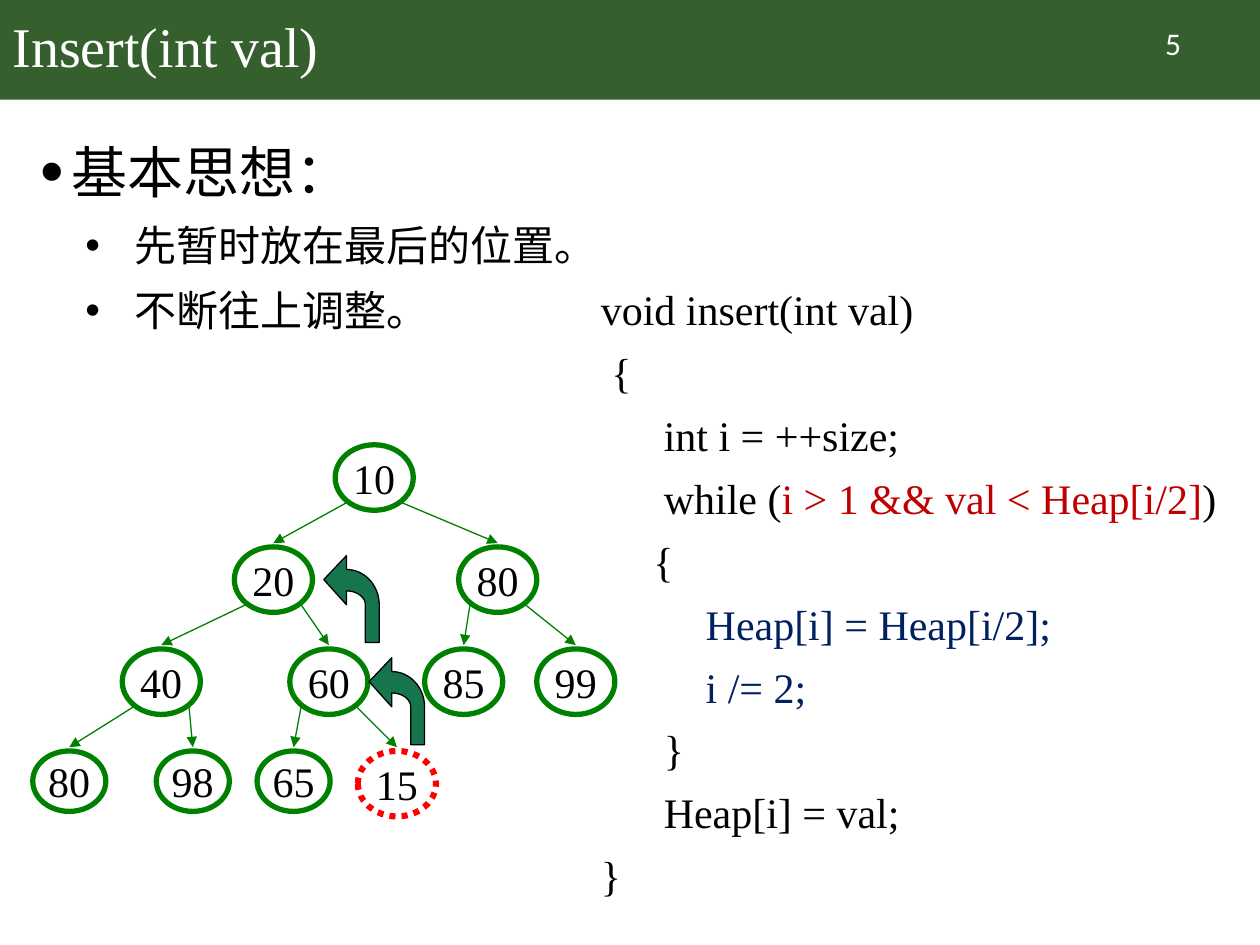
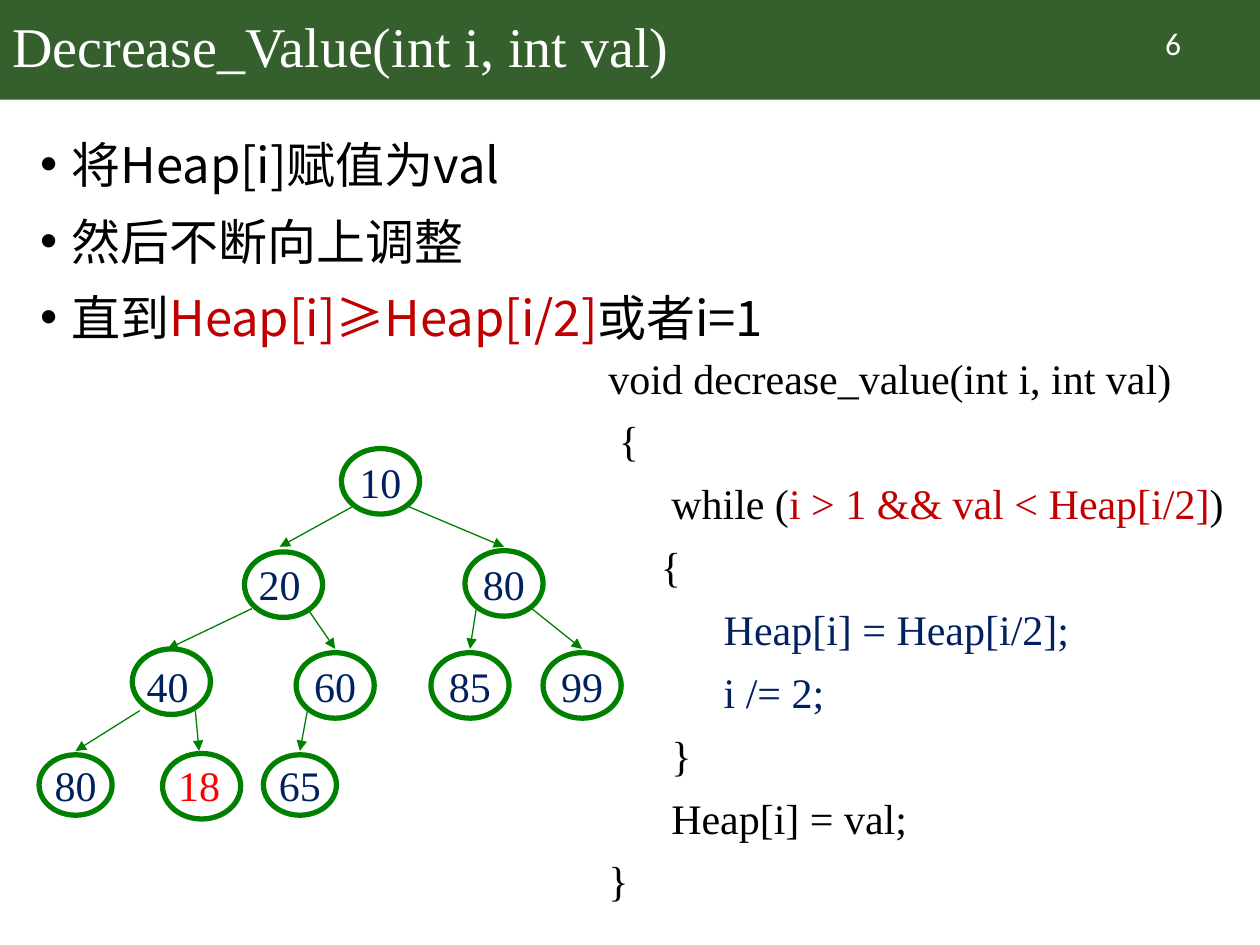
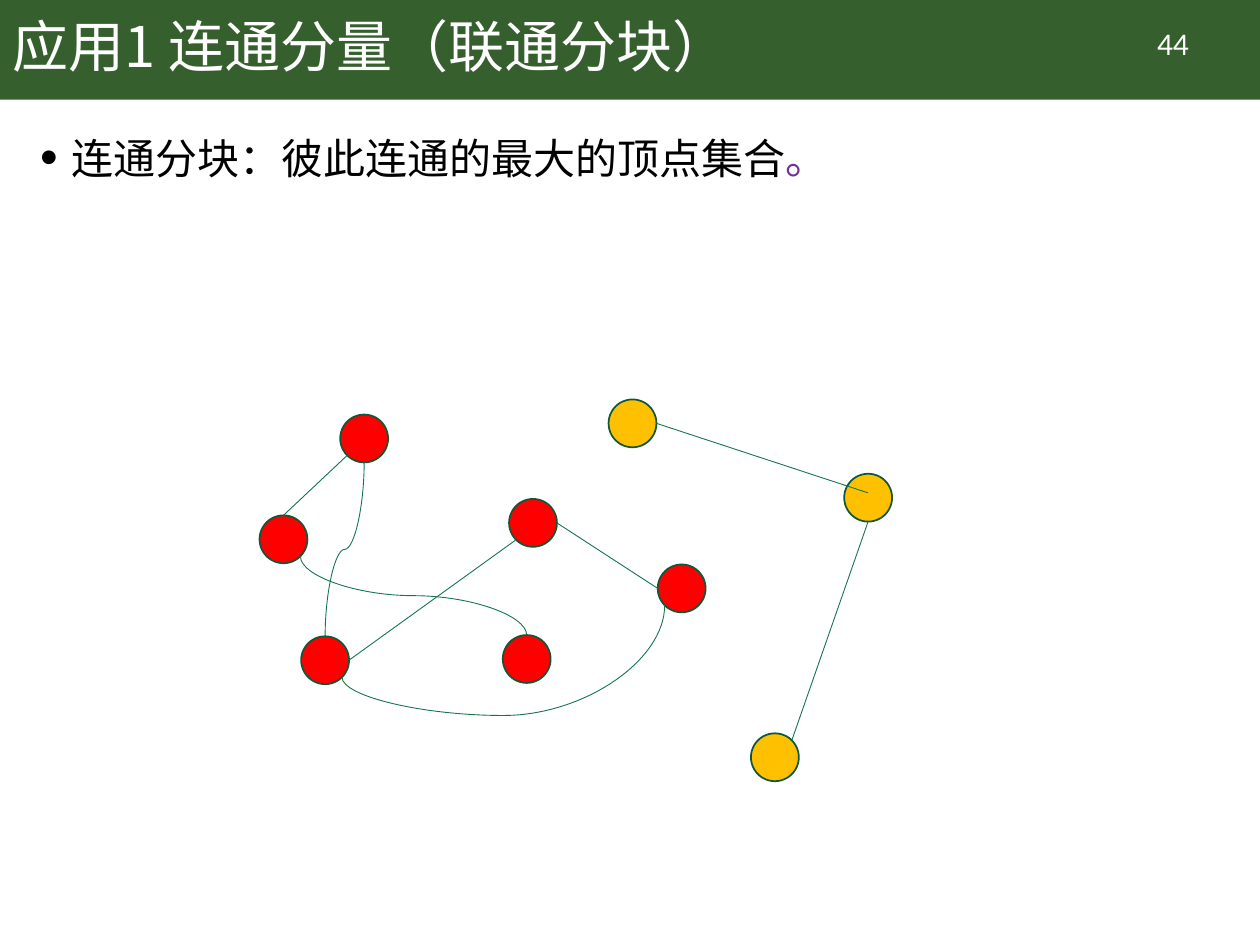
import math

import pptx
import pptx.dml.color
import pptx.enum.dml
import pptx.enum.shapes
import pptx.enum.text
import pptx.oxml
import pptx.oxml.ns
import pptx.util

RGBColor = pptx.dml.color.RGBColor
Inches = pptx.util.Inches
SHAPE = pptx.enum.shapes.MSO_SHAPE
CONNECTOR = pptx.enum.shapes.MSO_CONNECTOR
ALIGN = pptx.enum.text.PP_ALIGN
ANCHOR = pptx.enum.text.MSO_ANCHOR

BAND = RGBColor(0x36, 0x5F, 0x2E)
WHITE = RGBColor(0xFF, 0xFF, 0xFF)
BLACK = RGBColor(0, 0, 0)
CRIMSON = RGBColor(0xC0, 0, 0)
NAVY = RGBColor(0, 0x20, 0x60)
PURPLE = RGBColor(0x70, 0x30, 0xA0)
TREE_GREEN = RGBColor(0, 0x80, 0)
EDGE_GREEN = RGBColor(0x16, 0x75, 0x4D)
RIM_GREEN = RGBColor(0x10, 0x57, 0x39)
RED = RGBColor(0xFF, 0, 0)
AMBER = RGBColor(0xFF, 0xC0, 0)

SERIF, SANS, NUMBER_FONT = "Times New Roman", "Noto Sans CJK SC", "Calibri"
WIDTH, HEIGHT, BAND_HEIGHT = 10, 7.5, 0.79

# A paragraph is a string or a list of (text, colour) runs.
WHILE_LINE = [("      while (", BLACK), ("i > 1 && val < Heap[i/2]", CRIMSON), (")", BLACK)]
INSERT_CODE = [
    "void insert(int val)",
    " {",
    "      int i = ++size;",
    WHILE_LINE,
    "     {",
    [("          Heap[i] = Heap[i/2];", NAVY)],
    [("          i /= 2;", NAVY)],
    "      }",
    "      Heap[i] = val;",
    "}",
]
DECREASE_CODE = [
    "void decrease_value(int i, int val)",
    " {",
    WHILE_LINE,
    "     {",
    [("           Heap[i] = Heap[i/2];", NAVY)],
    [("           i /= 2;", NAVY)],
    "      }",
    "      Heap[i] = val;",
    "}",
]
INSERT_IDEA = ["基本思想："]
INSERT_STEPS = ["先暂时放在最后的位置。", "不断往上调整。"]
DECREASE_STEPS = [
    "将Heap[i]赋值为val",
    "然后不断向上调整",
    [("直到", BLACK), ("Heap[i]≥Heap[i/2]", CRIMSON), ("或者i=1", BLACK)],
]
COMPONENT_TEXT = [[("连通分块：彼此连通的最大的顶点集合", BLACK), ("。", PURPLE)]]

# Heaps are in array order: the parent of item i is item i // 2, counted from 1.
INSERT_HEAP = [10, 20, 80, 40, 60, 85, 99, 80, 98, 65, 15]
DECREASE_HEAP = [10, 20, 80, 40, 60, 85, 99, 80, 18, 65]
HEAP_LEFTS = [2.66, 1.86, 3.64, 0.97, 2.3, 3.37, 4.26, 0.26, 1.24, 2.04, 2.84]
HEAP_TOP, LEVEL_STEP = 3.53, 0.81
NODE_SIZE, LEAF_SIZE = (0.62, 0.52), (0.58, 0.48)
DECREASE_SHIFT = (0.05, 0.03)
SHIFTED_RINGS = {2: (1.94, 4.38), 4: (1.05, 5.15), 9: (1.29, 5.98)}
SWAP_ARROWS = [(2.93, 5.22), (2.57, 4.41)]

VERTEX_SIZE = 0.38
VERTICES = {
    "a": (2.7, 3.29, RED), "b": (2.06, 4.09, RED), "c": (2.39, 5.05, RED),
    "d": (3.99, 5.04, RED), "e": (5.96, 5.82, AMBER), "f": (6.7, 3.76, AMBER),
    "g": (4.04, 3.96, RED), "h": (5.22, 4.48, RED), "i": (4.83, 3.17, AMBER),
}
DIAGONAL = math.sqrt(0.5)
SITES = {
    "top": (0, -1), "bottom": (0, 1), "left": (-1, 0), "right": (1, 0),
    "top right": (DIAGONAL, -DIAGONAL), "bottom left": (-DIAGONAL, DIAGONAL),
    "bottom right": (DIAGONAL, DIAGONAL), "centre": (0, -0.2),
}
STRAIGHT_EDGES = [
    ("a", "bottom left", "b", "top"),
    ("c", "right", "g", "bottom left"),
    ("i", "right", "f", "centre"),
    ("f", "bottom", "e", "top right"),
    ("g", "right", "h", "left"),
]
CURVED_EDGES = [
    ("a", "bottom", "c", "top", 0.5),
    ("b", "bottom right", "d", "top", 0.5),
    ("c", "bottom right", "h", "bottom left", -0.535),
]


def add_xml(parent, tag, **attributes):
    element = pptx.oxml.parse_xml(f"<a:{tag} {pptx.oxml.ns.nsdecls('a')}/>")
    for name, value in attributes.items():
        element.set(name, str(value))
    parent.append(element)
    return element


def add_bullet(paragraph, margin, hang, percent):
    properties = paragraph._p.get_or_add_pPr()
    properties.set("marL", str(Inches(margin)))
    properties.set("indent", str(-Inches(hang)))
    add_xml(add_xml(properties, "buClr"), "srgbClr", val=BLACK)
    add_xml(properties, "buSzPct", val=percent * 1000)
    add_xml(properties, "buFont", typeface="Arial")
    add_xml(properties, "buChar", char="•")


def write(frame, paragraphs, *, size, font=SERIF, color=BLACK, align=ALIGN.LEFT,
          anchor=ANCHOR.TOP, wrap=True, line_spacing=1.0, space_before=0,
          bullet=None, append=False):
    """Fill a text frame; bullet is (margin, hang, percent of the text size)."""
    frame.word_wrap = wrap
    frame.vertical_anchor = anchor
    for index, content in enumerate(paragraphs):
        first = index == 0 and not append
        paragraph = frame.paragraphs[0] if first else frame.add_paragraph()
        paragraph.alignment = align
        paragraph.line_spacing = line_spacing
        paragraph.space_before = pptx.util.Pt(0 if first else space_before)
        if bullet:
            add_bullet(paragraph, *bullet)
        runs = [(content, color)] if isinstance(content, str) else content
        for text, run_color in runs:
            run = paragraph.add_run()
            run.text = text
            run.font.size = pptx.util.Pt(size)
            run.font.name = font
            run.font.color.rgb = run_color
            add_xml(run._r.get_or_add_rPr(), "ea", typeface=SANS)


def add_text(slide, box, paragraphs, **style):
    frame = slide.shapes.add_textbox(*map(Inches, box)).text_frame
    write(frame, paragraphs, **style)
    return frame


def paint(shape, fill=None, line=None, weight=1):
    shape.shadow.inherit = False
    if fill is None:
        shape.fill.background()
    else:
        shape.fill.solid()
        shape.fill.fore_color.rgb = fill
    if line is None:
        shape.line.fill.background()
    else:
        shape.line.color.rgb = line
        shape.line.width = pptx.util.Pt(weight)


def add_shape(shapes, kind, box, **style):
    shape = shapes.add_shape(kind, *map(Inches, box))
    paint(shape, **style)
    return shape


def add_line(shapes, start, end, color, weight, kind=CONNECTOR.STRAIGHT, arrow=False):
    connector = shapes.add_connector(kind, *map(Inches, (*start, *end)))
    connector.line.color.rgb = color
    connector.line.width = pptx.util.Pt(weight)
    if arrow:
        add_xml(connector.line._get_or_add_ln(), "tailEnd", type="triangle")
    add_xml(connector.element.spPr, "effectLst")
    return connector


def add_vertical_curve(shapes, start, end, bend):
    """Add a curve that leaves and arrives vertically, as a curve turned by 90 degrees."""
    middle_x, middle_y = (start[0] + end[0]) / 2, (start[1] + end[1]) / 2
    half_x, half_y = (end[0] - start[0]) / 2, (end[1] - start[1]) / 2
    connector = add_line(shapes, (middle_x - half_y, middle_y + half_x),
                         (middle_x + half_y, middle_y - half_x),
                         EDGE_GREEN, 0.5, kind=CONNECTOR.CURVE)
    properties = connector.element.spPr
    properties.find(pptx.oxml.ns.qn("a:xfrm")).set("rot", str(90 * 60000))
    adjustments = properties.find(".//" + pptx.oxml.ns.qn("a:avLst"))
    add_xml(adjustments, "gd", name="adj1", fmla=f"val {round(bend * 100000)}")


def add_slide(presentation, title, number, title_font=SERIF):
    slide = presentation.slides.add_slide(presentation.slide_layouts[6])
    add_shape(slide.shapes, SHAPE.RECTANGLE, (0, 0, WIDTH, BAND_HEIGHT), fill=BAND)
    add_text(slide, (0, 0, 8.62, BAND_HEIGHT), [title], size=32, font=title_font,
             color=WHITE, anchor=ANCHOR.MIDDLE, line_spacing=0.9)
    add_text(slide, (8.71, 0.14, 1.2, 0.4), [str(number)], size=18, font=NUMBER_FONT,
             color=WHITE, align=ALIGN.CENTER)
    return slide


def add_body(slide, paragraphs, size, percent=100):
    return add_text(slide, (0.22, 0.88, 9.57, 6.47), paragraphs, size=size, font=SANS,
                    line_spacing=1.3, bullet=(0.25, 0.25, percent))


def add_code(slide, box, lines):
    add_text(slide, box, lines, size=24, line_spacing=0.9, space_before=10)


def add_heap(slide, values, shift=(0, 0), color=BLACK, added=None, changed=None, rings=None):
    """Draw a heap; added and changed are item numbers, rings are outlines set apart."""
    rings = rings or {}
    shapes = slide.shapes.add_group_shape().shapes
    corners = {}
    for item, value in enumerate(values, 1):
        level = int(math.log2(item))
        left = HEAP_LEFTS[item - 1] + shift[0]
        top = HEAP_TOP + level * LEVEL_STEP + shift[1]
        size = LEAF_SIZE if level == 3 and item != added else NODE_SIZE
        corners[item] = (left, top)
        outline = None if item in rings else RED if item == added else TREE_GREEN
        node = add_shape(shapes, SHAPE.OVAL, (left, top, *size), line=outline,
                         weight=3.5 if item == added else 3)
        if item == added:
            node.line.dash_style = pptx.enum.dml.MSO_LINE.ROUND_DOT
        write(node.text_frame, [str(value)], size=24, align=ALIGN.CENTER,
              color=RED if item == changed else color, anchor=ANCHOR.MIDDLE, wrap=False)
        if item > 1:
            parent_left, parent_top = corners[item // 2]
            start = (parent_left + (0.53 if item % 2 else 0.09), parent_top + 0.46)
            add_line(shapes, start, (left + size[0] / 2, top - 0.03), TREE_GREEN, 0.75,
                     arrow=True)
    for corner in rings.values():
        add_shape(shapes, SHAPE.OVAL, (*corner, *NODE_SIZE), line=TREE_GREEN, weight=3)


def add_swap_arrow(slide, left, top):
    """Draw an arrow that rises and bends to the left."""
    bend_x, bend_y, steps = 0.18, 0.39, 16

    def quarter(radius_x, radius_y):
        angles = [math.pi / 2 * step / steps for step in range(steps + 1)]
        return [(bend_x + radius_x * math.sin(angle), bend_y - radius_y * math.cos(angle))
                for angle in angles]

    outline = [(0, 0.19), (bend_x, 0), *quarter(0.26, 0.28), (0.44, 0.69), (0.33, 0.69),
               *reversed(quarter(0.15, 0.11)), (bend_x, bend_y)]
    points = [(Inches(left + x), Inches(top + y)) for x, y in outline]
    builder = slide.shapes.build_freeform(*points[0])
    builder.add_line_segments(points[1:], close=True)
    paint(builder.convert_to_shape(), fill=EDGE_GREEN, line=BLACK, weight=0.75)


def add_graph(slide):
    shapes = slide.shapes.add_group_shape().shapes
    radius = VERTEX_SIZE / 2

    def site(vertex, side):
        left, top, _ = VERTICES[vertex]
        across, down = SITES[side]
        return left + radius * (1 + across), top + radius * (1 + down)

    for left, top, color in VERTICES.values():
        add_shape(shapes, SHAPE.OVAL, (left, top, VERTEX_SIZE, VERTEX_SIZE),
                  fill=color, line=RIM_GREEN)
    for first, first_side, second, second_side in STRAIGHT_EDGES:
        add_line(shapes, site(first, first_side), site(second, second_side), EDGE_GREEN, 0.5)
    for first, first_side, second, second_side, bend in CURVED_EDGES:
        add_vertical_curve(shapes, site(first, first_side), site(second, second_side), bend)


def main():
    presentation = pptx.Presentation()
    presentation.slide_width, presentation.slide_height = Inches(WIDTH), Inches(HEIGHT)

    slide = add_slide(presentation, "Insert(int val)", 5)
    body = add_body(slide, INSERT_IDEA, 32, percent=120)
    write(body, INSERT_STEPS, size=24, font=SANS, line_spacing=1.3,
          bullet=(0.75, 0.39, 100), append=True)
    add_heap(slide, INSERT_HEAP, added=11)
    add_code(slide, (4.67, 2.25, 5.42, 4.36), INSERT_CODE)
    for corner in SWAP_ARROWS:
        add_swap_arrow(slide, *corner)

    slide = add_slide(presentation, "Decrease_Value(int i, int val)", 6)
    add_body(slide, DECREASE_STEPS, 28)
    add_heap(slide, DECREASE_HEAP, shift=DECREASE_SHIFT, color=NAVY, changed=9,
             rings=SHIFTED_RINGS)
    add_code(slide, (4.73, 2.79, 5.46, 4.28), DECREASE_CODE)

    slide = add_slide(presentation, "应用1 连通分量（联通分块）", 44, title_font=SANS)
    add_body(slide, COMPONENT_TEXT, 24, percent=120)
    add_graph(slide)

    presentation.save("out.pptx")


if __name__ == "__main__":
    main()
